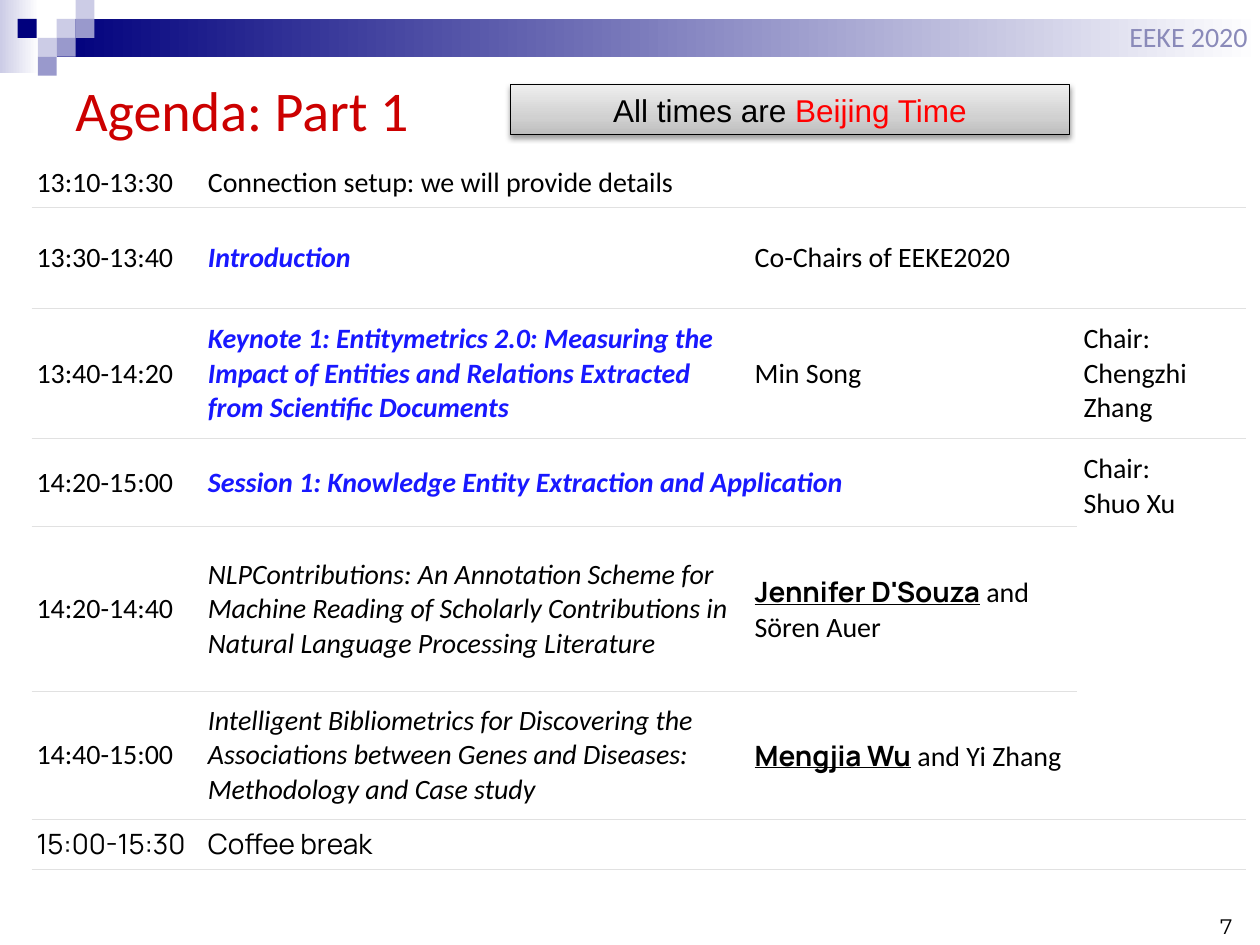
from pptx import Presentation
from pptx.dml.color import RGBColor
from pptx.enum.shapes import MSO_SHAPE
from pptx.enum.text import MSO_ANCHOR, PP_ALIGN
from pptx.oxml import parse_xml
from pptx.oxml.ns import nsdecls, qn
from pptx.util import Inches, Pt

BLACK = RGBColor(0x00, 0x00, 0x00)
NAVY = RGBColor(0x00, 0x00, 0x7D)
LAVENDER = RGBColor(0xCC, 0xCC, 0xE6)
PERIWINKLE = RGBColor(0x99, 0x99, 0xCC)
MUTED = RGBColor(0x8A, 0x8A, 0xB9)
WHITE = RGBColor(0xFF, 0xFF, 0xFF)
CRIMSON = RGBColor(0xCC, 0x00, 0x00)
RED = RGBColor(0xFF, 0x00, 0x00)
BLUE = RGBColor(0x18, 0x18, 0xFF)
RULE = RGBColor(0xE1, 0xE1, 0xE1)
SILVER = [(0, RGBColor(0xBD, 0xBD, 0xBD)), (35, RGBColor(0xD1, 0xD1, 0xD1)),
          (100, RGBColor(0xEE, 0xEE, 0xEE))]
NO_TABLE_STYLE = "{2D5ABB26-0587-4C30-8999-92F81FD0307C}"

HEADLINE = dict(color=BLUE, bold=True, italic=True)
PAPER = dict(italic=True)
SPEAKER = dict(font="Manrope", bold=True, underline=True)
BREAK = dict(font="Manrope")

COLUMNS = [1.35, 4.34, 2.51, 0.1, 1.34]
ROWS = [0.4, 0.8, 1.03, 0.7, 1.31, 1.01, 0.4]
MERGES = [(0, 3, 0, 4), (1, 2, 1, 4), (2, 2, 2, 3), (3, 1, 3, 3), (3, 4, 5, 4),
          (4, 2, 4, 3), (5, 2, 5, 3), (6, 2, 6, 4)]
AGENDA = [
    {0: [("13:10-13:30", {})],
     1: [("Connection setup: we will provide details", {})]},
    {0: [("13:30-13:40", {})],
     1: [("Introduction", HEADLINE)],
     2: [("Co-Chairs of EEKE2020", {})]},
    {0: [("13:40-14:20", {})],
     1: [("Keynote 1: Entitymetrics 2.0: Measuring the Impact of Entities and "
          "Relations Extracted from Scientific Documents", HEADLINE)],
     2: [("Min Song", {})],
     4: [("Chair: Chengzhi Zhang", {})]},
    {0: [("14:20-15:00", {})],
     1: [("Session 1: Knowledge Entity Extraction and Application", HEADLINE)],
     4: [("Chair:\nShuo Xu", {})]},
    {0: [("14:20-14:40", {})],
     1: [("NLPContributions: An Annotation Scheme for Machine Reading of Scholarly "
          "Contributions in Natural Language Processing Literature", PAPER)],
     2: [("Jennifer D'Souza", SPEAKER), (" and Sören Auer", {})]},
    {0: [("14:40-15:00", {})],
     1: [("Intelligent Bibliometrics for Discovering the Associations between Genes "
          "and Diseases: Methodology and Case study", PAPER)],
     2: [("Mengjia Wu", SPEAKER), (" and Yi Zhang", {})]},
    {0: [("15:00-15:30", BREAK)],
     1: [("Coffee break", BREAK)]},
]


def write(tf, text, size=16, font="Calibri", color=BLACK, bold=False, italic=False,
          underline=False, align=PP_ALIGN.LEFT):
    for i, line in enumerate(text.split("\n")):
        p = tf.add_paragraph() if i else tf.paragraphs[-1]
        p.alignment = align
        r = p.add_run()
        r.text = line
        r.font.size = Pt(size)
        r.font.name = font
        r.font.color.rgb = color
        r.font.bold = bold
        r.font.italic = italic
        r.font.underline = underline


class AgendaSlide:
    def __init__(self, prs):
        self.slide = prs.slides.add_slide(prs.slide_layouts[6])

    def rect(self, x, y, w, h, color=None):
        s = self.slide.shapes.add_shape(MSO_SHAPE.RECTANGLE, Inches(x), Inches(y),
                                        Inches(w), Inches(h))
        s.shadow.inherit = False
        s.line.fill.background()
        if color is not None:
            s.fill.solid()
            s.fill.fore_color.rgb = color
        return s

    def gradient(self, x, y, w, h, stops, angle=0):
        s = self.rect(x, y, w, h)
        s.fill.background()
        marks = "".join(f'<a:gs pos="{pos * 1000}"><a:srgbClr val="{c}"/></a:gs>'
                        for pos, c in stops)
        sp = s._element.spPr
        sp.replace(sp.find(qn("a:noFill")), parse_xml(
            f'<a:gradFill {nsdecls("a")} rotWithShape="1"><a:gsLst>{marks}</a:gsLst>'
            f'<a:lin ang="{angle * 60000}" scaled="0"/></a:gradFill>'))
        return s

    def text(self, x, y, w, h, text, anchor=MSO_ANCHOR.TOP, **style):
        tf = self.slide.shapes.add_textbox(Inches(x), Inches(y), Inches(w),
                                           Inches(h)).text_frame
        tf.word_wrap = True
        tf.vertical_anchor = anchor
        write(tf, text, **style)

    def notice(self, x, y, w, h, runs):
        s = self.gradient(x, y, w, h, SILVER, angle=270)
        s.line.color.rgb = BLACK
        s.line.width = Pt(0.75)
        s._element.spPr.find(qn("a:effectLst")).append(parse_xml(
            f'<a:outerShdw {nsdecls("a")} blurRad="{Pt(3.1)}" dist="{Pt(1.6)}" '
            'dir="5400000" rotWithShape="0"><a:srgbClr val="000000">'
            '<a:alpha val="38000"/></a:srgbClr></a:outerShdw>'))
        s.text_frame.vertical_anchor = MSO_ANCHOR.MIDDLE
        for text, color in runs:
            write(s.text_frame, text, size=18, font="Arial", color=color,
                  align=PP_ALIGN.CENTER)

    def underline_cell(self, cell):
        props = cell._tc.get_or_add_tcPr()
        props.insert(0, parse_xml(
            f'<a:lnB {nsdecls("a")} w="{Pt(0.6)}"><a:solidFill>'
            f'<a:srgbClr val="{RULE}"/></a:solidFill></a:lnB>'))

    def table(self, x, y, columns, rows, merges, content):
        tbl = self.slide.shapes.add_table(len(rows), len(columns), Inches(x), Inches(y),
                                          Inches(sum(columns)), Inches(sum(rows))).table
        tbl.first_row = tbl.horz_banding = False
        tbl._tbl.tblPr.find(qn("a:tableStyleId")).text = NO_TABLE_STYLE
        for column, width in zip(tbl.columns, columns):
            column.width = Inches(width)
        for row, height in zip(tbl.rows, rows):
            row.height = Inches(height)
        for top, left, bottom, right in merges:
            tbl.cell(top, left).merge(tbl.cell(bottom, right))
        for i, entries in enumerate(content):
            for j in range(len(columns)):
                cell = tbl.cell(i, j)
                cell.fill.background()
                self.underline_cell(cell)
                cell.margin_left = Inches(0.05 if j else 0.04)
                cell.margin_right = Inches(0.05)
                cell.margin_top = cell.margin_bottom = Inches(0.04)
                cell.vertical_anchor = MSO_ANCHOR.MIDDLE
                for text, style in entries.get(j, []):
                    write(cell.text_frame, text, **style)
        return tbl


def main():
    prs = Presentation()
    prs.slide_width, prs.slide_height = Inches(10), Inches(7.5)
    page = AgendaSlide(prs)

    page.gradient(0, 0, 0.31, 0.58, [(0, LAVENDER), (100, WHITE)])
    page.gradient(0.45, 0.15, 9.55, 0.3, [(0, NAVY), (100, WHITE)])
    for x, y, color in [(0.45, 0.15, LAVENDER), (0.6, 0, LAVENDER),
                        (0.6, 0.15, PERIWINKLE), (0.3, 0.3, LAVENDER),
                        (0.14, 0.15, NAVY), (0.45, 0.3, PERIWINKLE),
                        (0.3, 0.45, PERIWINKLE)]:
        page.rect(x, y, 0.15, 0.15, color)

    page.text(7.55, 7, 2.33, 0.5, "7", anchor=MSO_ANCHOR.BOTTOM, size=12,
              font="Montserrat", align=PP_ALIGN.RIGHT)
    page.text(0.5, 0.5, 9.5, 0.73, "Agenda: Part 1", anchor=MSO_ANCHOR.MIDDLE,
              size=32, color=CRIMSON)
    page.text(0.75, 0.11, 9.25, 0.37, "EEKE 2020", color=MUTED, align=PP_ALIGN.RIGHT)
    page.notice(4.05, 0.67, 4.44, 0.4, [("All times are ", BLACK), ("Beijing Time", RED)])

    tbl = page.table(0.25, 1.25, COLUMNS, ROWS, MERGES, AGENDA)
    chair = tbl.cell(3, 4)
    chair.vertical_anchor = MSO_ANCHOR.TOP
    chair.margin_top = Inches(0.11)

    prs.save("out.pptx")


if __name__ == "__main__":
    main()
